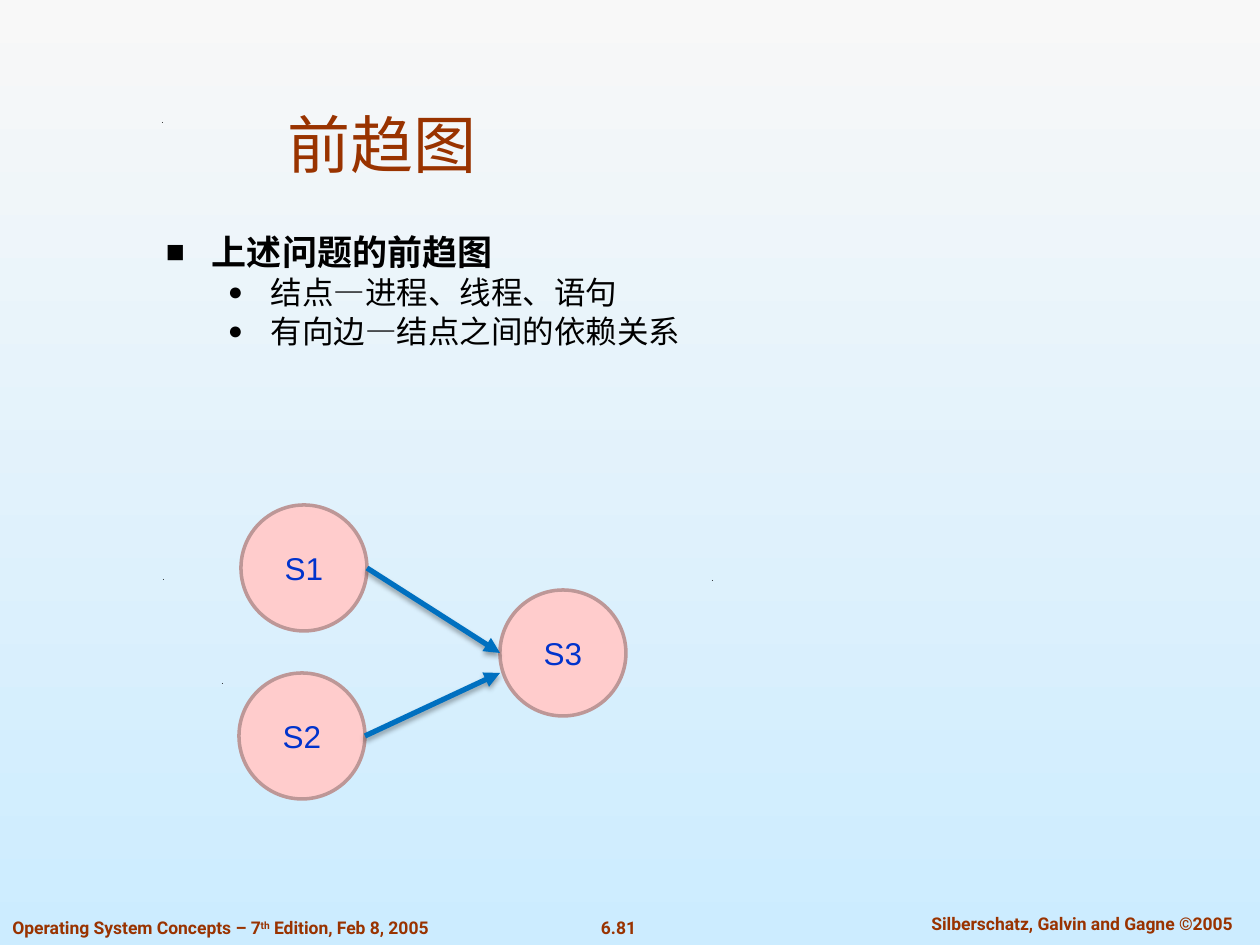
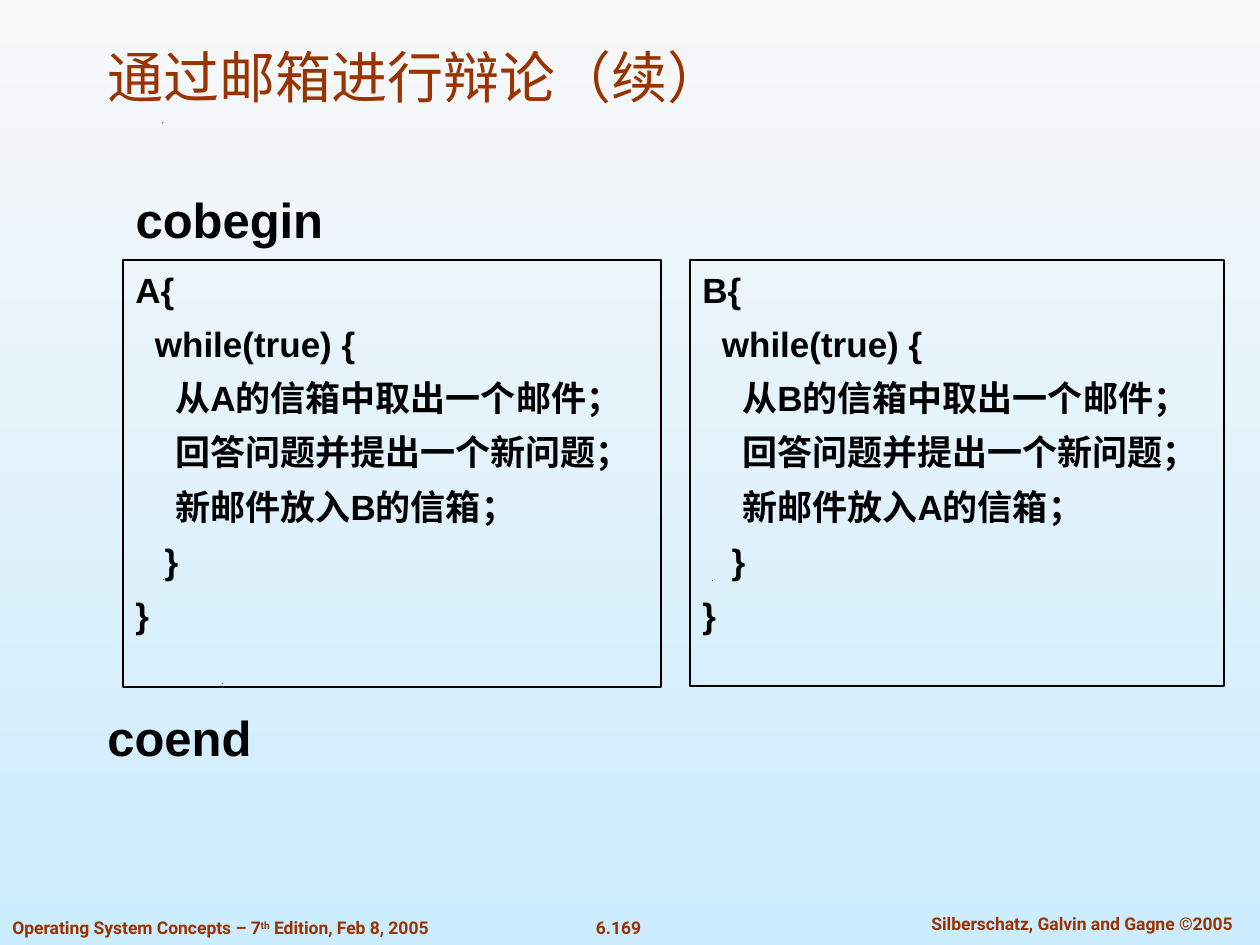
"""Build two slides on precedence graphs and mailbox debate."""
import lxml.etree
import pptx
import pptx.dml.color
import pptx.enum.dml
import pptx.enum.shapes
import pptx.enum.text
import pptx.oxml.ns
import pptx.util

Pt = pptx.util.Pt
RGB = pptx.dml.color.RGBColor
ALIGN = pptx.enum.text.PP_ALIGN
ANCHOR = pptx.enum.text.MSO_ANCHOR
SHAPE = pptx.enum.shapes.MSO_SHAPE
qn = pptx.oxml.ns.qn

BLACK = RGB(0x00, 0x00, 0x00)
RUST = RGB(0x99, 0x33, 0x00)
PALE = RGB(0xF8, 0xF8, 0xF8)
SKY = RGB(0xCC, 0xEC, 0xFF)
PINK = RGB(0xFF, 0xCC, 0xCC)
ROSE = RGB(0xBD, 0x97, 0x97)
INK = RGB(0x00, 0x33, 0xCC)
BLUE = RGB(0x00, 0x70, 0xC0)

SCALE = 914400 / 126
WIDE, HIGH = 1260, 945
SPECKS = [(222, 683), (163, 579), (712, 580), (162, 122)]

TITLE = {"name": "Arial", "bold": False, "color": RUST}
FOOT = {"name": "Roboto", "size": Pt(10), "bold": True, "color": RUST}
HEAD = {"name": "Arial", "size": Pt(20), "bold": True, "color": BLACK}
ITEM = HEAD | {"size": Pt(18), "bold": False}
WORD = HEAD | {"size": Pt(28)}
NODE = {"name": "Arial", "size": Pt(18), "color": INK}
LIST = {"line_spacing": Pt(22), "space_before": Pt(0)}
CODE = {"line_spacing": Pt(23), "space_before": Pt(8)}
LEFT = {"alignment": ALIGN.LEFT}
MID = {"alignment": ALIGN.CENTER}


def emu(px):
    """Turn px into EMU."""
    return round(px * SCALE)


def node(root, tag, **vals):
    """Add an XML child with attributes."""
    item = lxml.etree.SubElement(root, qn(tag))
    for key, val in vals.items():
        item.set(key, str(val))
    return item


class Deck:
    """Hold the style and the current slide."""

    def __init__(self):
        """Open an empty deck."""
        self.show = pptx.Presentation()
        self.show.slide_width = emu(WIDE)
        self.show.slide_height = emu(HIGH)
        self.slide = None

    def start(self, num):
        """Add a slide with its background, specks and footers."""
        self.slide = self.show.slides.add_slide(self.show.slide_layouts[1])
        fill = self.slide.background.fill
        fill.gradient()
        fill.gradient_angle = 270
        for stop, pos, tint in zip(fill.gradient_stops, (0, 1), (PALE, SKY)):
            stop.position = pos
            stop.color.rgb = tint
        for x, y in SPECKS:
            self.speck(x, y)
        self.text((578, 911, 81, 34), [num], FOOT, MID)
        self.text((895, 907, 374, 34),
                  ["Silberschatz, Galvin and Gagne ©2005"], FOOT, MID)
        note = self.text((0, 911, 518, 34),
                         ["Operating System Concepts – 7"], FOOT, LEFT)
        para = note.paragraphs[0]
        for words, base in (("th", 30000), (" Edition, Feb 8, 2005", 0)):
            run = self.run(para, words, FOOT)
            run._r.get_or_add_rPr().set("baseline", str(base))

    def run(self, para, words, look):
        """Add a run in the given look."""
        run = para.add_run()
        run.text = words
        for key, val in look.items():
            if key == "color":
                run.font.color.rgb = val
            else:
                setattr(run.font, key, val)
        return run

    def rows(self, frame, count):
        """Set up a frame and give its paragraphs."""
        frame.word_wrap = True
        frame.auto_size = pptx.enum.text.MSO_AUTO_SIZE.NONE
        for _ in range(count - 1):
            frame.add_paragraph()
        return frame.paragraphs

    def put(self, frame, lines, look, form):
        """Put one paragraph a line into a frame."""
        paras = self.rows(frame, len(lines))
        for para, words in zip(paras, lines):
            for key, val in form.items():
                setattr(para, key, val)
            self.run(para, words, look)
        paras[0].space_before = Pt(0)

    def place(self, shape, box):
        """Move a shape to a box in px."""
        for key, val in zip(("left", "top", "width", "height"), box):
            setattr(shape, key, emu(val))

    def text(self, box, lines, look, form):
        """Add a text box."""
        frame = self.slide.shapes.add_textbox(*map(emu, box)).text_frame
        self.put(frame, lines, look, form)
        return frame

    def title(self, box, words, size):
        """Fill the title placeholder."""
        shape = self.slide.shapes.title
        self.place(shape, box)
        self.put(shape.text_frame, [words], TITLE | {"size": Pt(size)}, LEFT)
        shape.text_frame.vertical_anchor = ANCHOR.BOTTOM

    def body(self, box):
        """Move the body placeholder and give its frame."""
        shape = self.slide.placeholders[1]
        self.place(shape, box)
        shape.text_frame.margin_top = emu(10)
        return shape.text_frame

    def mark(self, para, left, hang, char="", size=100):
        """Set the indent and bullet of a paragraph."""
        props = para._p.get_or_add_pPr()
        props.set("marL", str(emu(left)))
        props.set("indent", str(emu(-hang)))
        if not char:
            node(props, "a:buNone")
            return
        node(node(props, "a:buClr"), "a:srgbClr", val=BLACK)
        node(props, "a:buSzPct", val=size * 1000)
        node(props, "a:buFont", typeface="Arial")
        node(props, "a:buChar", char=char)

    def bullets(self, box, head, items):
        """Fill the body with a heading and its items."""
        frame = self.body(box)
        frame.margin_left = emu(25)
        rows = [(head, HEAD, 0, 46, 46, "■", 90)]
        rows += [(item, ITEM, 1, 105, 43, "●", 80) for item in items]
        paras = self.rows(frame, len(rows))
        for para, (words, look, level, *dent) in zip(paras, rows):
            para.level = level
            self.mark(para, *dent)
            for key, val in LIST.items():
                setattr(para, key, val)
            self.run(para, words, look)

    def lead(self, box, words):
        """Fill the body with one plain line."""
        frame = self.body(box)
        self.mark(frame.paragraphs[0], 0, 0)
        self.put(frame, [words], WORD, LEFT)

    def shape(self, kind, box, line, width, fill=None):
        """Add an outlined shape and give its frame."""
        shape = self.slide.shapes.add_shape(kind, *map(emu, box))
        shape.shadow.inherit = False
        shape.line.color.rgb = line
        shape.line.width = Pt(width)
        if fill is None:
            shape.fill.background()
        else:
            shape.fill.solid()
            shape.fill.fore_color.rgb = fill
        return shape.text_frame

    def circle(self, x, y, name):
        """Add a graph node."""
        frame = self.shape(SHAPE.OVAL, (x, y, 126, 126), ROSE, 2, PINK)
        self.put(frame, [name], NODE, MID)
        frame.vertical_anchor = ANCHOR.MIDDLE

    def code(self, box, own, other):
        """Add the code of one debater."""
        frame = self.shape(SHAPE.RECTANGLE, box, BLACK, 0.75)
        frame.margin_top = emu(10)
        frame.vertical_anchor = ANCHOR.TOP
        lines = [
            f"{own}{{",
            "  while(true) {",
            f"     从{own}的信箱中取出一个邮件；",
            "     回答问题并提出一个新问题；",
            f"     新邮件放入{other}的信箱；",
            "   }",
            "}",
        ]
        self.put(frame, lines, HEAD, CODE | LEFT)

    def arrow(self, *ends):
        """Add an arrow with a soft shadow."""
        kind = pptx.enum.shapes.MSO_CONNECTOR.STRAIGHT
        line = self.slide.shapes.add_connector(kind, *map(emu, ends))
        line.line.color.rgb = BLUE
        line.line.width = Pt(3)
        props = line._element.spPr
        node(props.find(qn("a:ln")), "a:tailEnd", type="triangle")
        glow = node(node(props, "a:effectLst"), "a:outerShdw",
                    blurRad=Pt(3.1), dist=Pt(1.8), dir=5400000, rotWithShape=0)
        node(node(glow, "a:srgbClr", val=BLACK), "a:alpha", val=35000)

    def speck(self, x, y):
        """Add a tiny triangle."""
        form = self.slide.shapes.build_freeform(x, y + 1, SCALE)
        form.add_line_segments([(x + 1, y), (x + 1, y + 1)])
        shape = form.convert_to_shape()
        shape.shadow.inherit = False
        shape.fill.solid()
        shape.fill.fore_color.rgb = BLACK
        shape.line.fill.background()


def main():
    """Build and save the deck."""
    deck = Deck()

    deck.start("6.81")
    deck.title((275, 71, 702, 116), "前趋图", 36)
    deck.bullets((141, 224, 969, 192), "上述问题的前趋图",
                 ["结点—进程、线程、语句", "有向边—结点之间的依赖关系"])
    for x, y, name in ((241, 505, "S1"), (239, 673, "S2"), (500, 590, "S3")):
        deck.circle(x, y, name)
    deck.arrow(367, 568, 500, 653)
    deck.arrow(365, 736, 500, 673)

    deck.start("6.169")
    deck.title((95, 32, 1113, 84), "通过邮箱进行辩论（续）", 32)
    deck.lead((123, 179, 460, 81), "cobegin")
    deck.code((123, 260, 538, 427), "A", "B")
    coend = deck.text((95, 697, 460, 81), ["coend"], WORD, LEFT)
    coend.margin_top = emu(10)
    deck.code((690, 260, 534, 426), "B", "A")

    deck.show.save("out.pptx")


if __name__ == "__main__":
    main()
